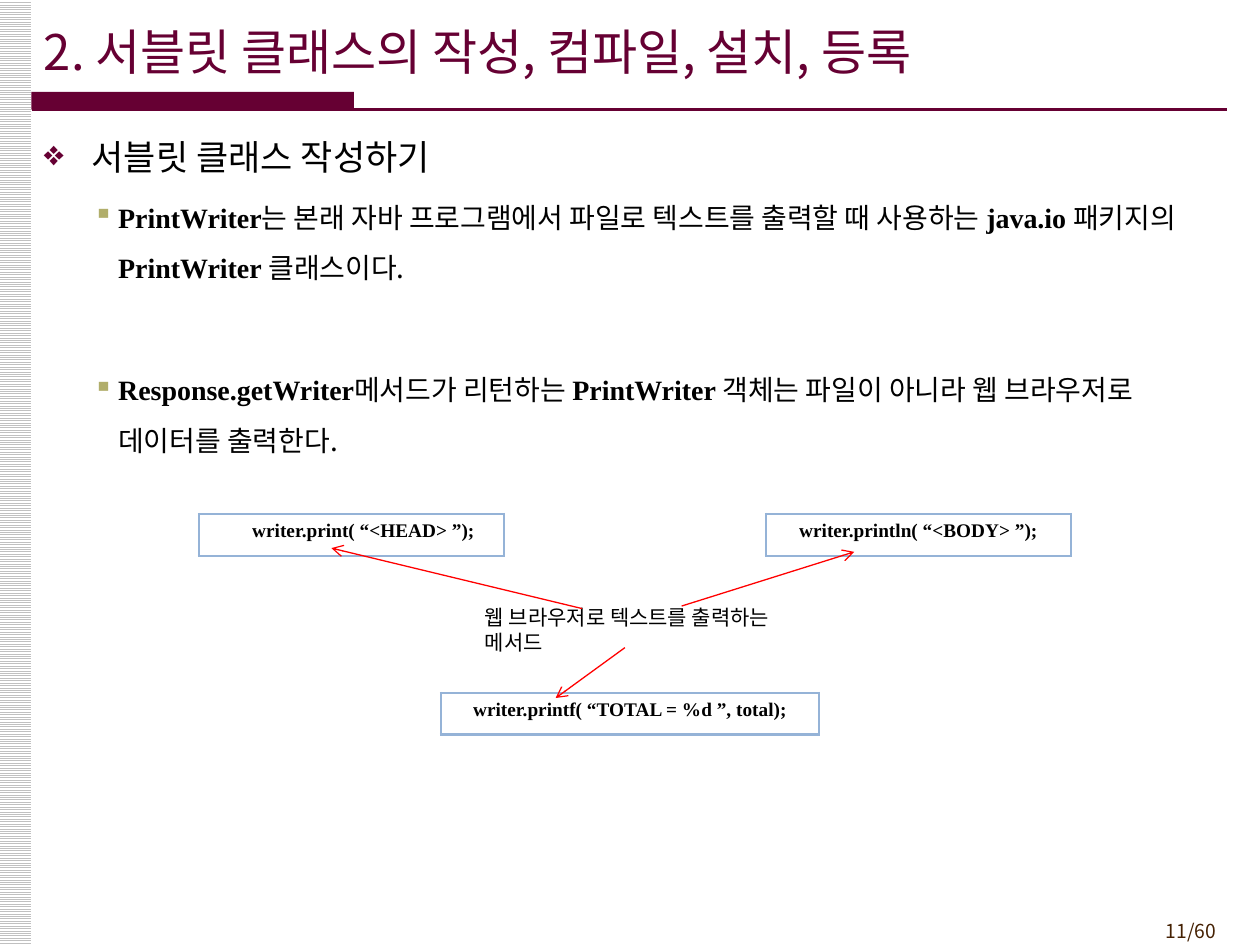
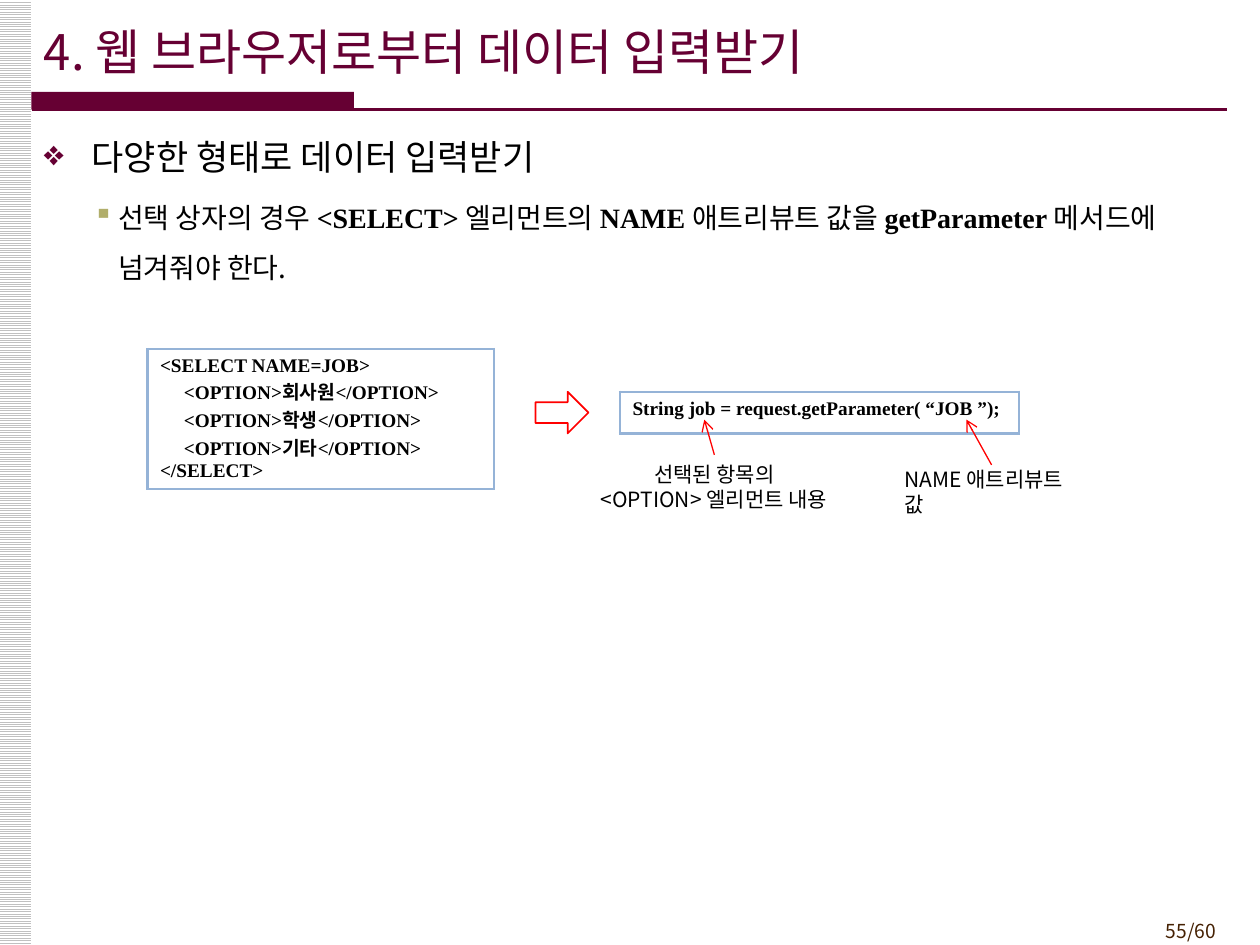
from dataclasses import dataclass
from typing import Any, NamedTuple

import lxml.etree
import pptx
import pptx.dml.color
import pptx.enum.dml
import pptx.enum.shapes
import pptx.enum.text
import pptx.oxml.ns
import pptx.util

RGBColor = pptx.dml.color.RGBColor
Align = pptx.enum.text.PP_ALIGN
Anchor = pptx.enum.text.MSO_ANCHOR
Kind = pptx.enum.shapes.MSO_SHAPE
Pt = pptx.util.Pt
qn = pptx.oxml.ns.qn

# Shared look: 100 px make one inch
SCALE = 9144
SANS = "Noto Sans CJK KR"
SERIF = "Times New Roman"
WINE = RGBColor(0x66, 0x00, 0x33)
OLIVE = RGBColor(0xB1, 0xAE, 0x6B)
BROWN = RGBColor(0x45, 0x21, 0x03)
BLUE = RGBColor(0x95, 0xB3, 0xD7)
RED = RGBColor(0xFF, 0x00, 0x00)
GREY = RGBColor(0xC0, 0xC0, 0xC0)
BLACK = RGBColor(0x00, 0x00, 0x00)
WHITE = RGBColor(0xFF, 0xFF, 0xFF)


class Box(NamedTuple):
    left: int
    top: int
    width: int
    height: int


class Run(NamedTuple):
    text: str
    code: bool = False


@dataclass
class Para:
    runs: list[Run]
    size: int = 12
    color: RGBColor = BLACK
    align: Any = Align.LEFT
    margin: int = 0
    hang: int = 0
    mark: str = ""
    tint: RGBColor = WINE
    before: float = 0
    after: float = 0
    lines: float = 1


@dataclass
class Code:
    box: Box
    paras: list[Para]


@dataclass
class Label:
    box: Box
    paras: list[Para]


class Arrow(NamedTuple):
    x1: int
    y1: int
    x2: int
    y2: int


@dataclass
class Page:
    title: str
    number: str
    body: list[Para]
    codes: list[Code]
    labels: list[Label]
    arrows: list[Arrow]
    block: Box | None = None


def px(value: int) -> pptx.util.Emu:
    return pptx.util.Emu(value * SCALE)


def place(box: Box) -> list[pptx.util.Emu]:
    return [px(side) for side in box]


# Text
def write(frame: Any, paras: list[Para]) -> None:
    for index, item in enumerate(paras):
        para = frame.add_paragraph() if index else frame.paragraphs[0]
        para.alignment = item.align
        para.line_spacing = item.lines
        para.space_before = Pt(item.before)
        para.space_after = Pt(item.after)
        props = para._p.get_or_add_pPr()
        props.set("marL", str(px(item.margin)))
        props.set("indent", str(px(-item.hang)))
        if item.mark:
            tint = lxml.etree.SubElement(props, qn("a:buClr"))
            lxml.etree.SubElement(tint, qn("a:srgbClr")).set("val", str(item.tint))
            lxml.etree.SubElement(props, qn("a:buChar")).set("char", item.mark)
        for part in item.runs:
            run = para.add_run()
            run.text = part.text
            run.font.size = Pt(item.size)
            run.font.bold = part.code
            run.font.color.rgb = item.color
            run.font.name = SERIF if part.code else SANS
            east = lxml.etree.SubElement(run._r.get_or_add_rPr(), qn("a:ea"))
            east.set("typeface", SANS)


def add_text(slide: Any, box: Box, paras: list[Para], anchor: Any = Anchor.TOP) -> None:
    frame = slide.shapes.add_textbox(*place(box)).text_frame
    frame.word_wrap = True
    frame.vertical_anchor = anchor
    write(frame, paras)


# Shapes and lines
def add_block(slide: Any, box: Box, kind: Any = Kind.RECTANGLE,
              fill: RGBColor | None = None, edge: RGBColor | None = None) -> Any:
    shape = slide.shapes.add_shape(kind, *place(box))
    shape.shadow.inherit = False
    if fill is None:
        shape.fill.background()
    else:
        shape.fill.solid()
        shape.fill.fore_color.rgb = fill
    if edge is None:
        shape.line.fill.background()
    else:
        shape.line.color.rgb = edge
        shape.line.width = Pt(1)
    return shape


def add_line(slide: Any, ends: Arrow, color: RGBColor, width: float, head: bool) -> None:
    line = slide.shapes.add_connector(
        pptx.enum.shapes.MSO_CONNECTOR.STRAIGHT, *[px(end) for end in ends])
    line.line.color.rgb = color
    line.line.width = Pt(width)
    if head:
        tail = lxml.etree.SubElement(line.line._get_or_add_ln(), qn("a:tailEnd"))
        tail.set("type", "arrow")
    lxml.etree.SubElement(line._element.spPr, qn("a:effectLst"))


def add_label(slide: Any, label: Label) -> None:
    frame = add_block(slide, label.box, fill=WHITE).text_frame
    frame.word_wrap = True
    frame.vertical_anchor = Anchor.MIDDLE
    write(frame, label.paras)


def add_code(slide: Any, code: Code) -> None:
    table = slide.shapes.add_table(1, 1, *place(code.box)).table
    table.first_row = False
    table.horz_banding = False
    cell = table.cell(0, 0)
    props = cell._tc.get_or_add_tcPr()
    for side in ("L", "R", "T", "B"):
        edge = lxml.etree.SubElement(props, qn(f"a:ln{side}"))
        edge.set("w", str(Pt(1.5)))
        fill = lxml.etree.SubElement(edge, qn("a:solidFill"))
        lxml.etree.SubElement(fill, qn("a:srgbClr")).set("val", str(BLUE))
    cell.fill.background()
    write(cell.text_frame, code.paras)


# Frame shared by all slides
def add_frame(slide: Any, page: Page) -> None:
    strip = add_block(slide, Box(0, 0, 25, 750))
    strip.fill.patterned()
    strip.fill.pattern = pptx.enum.dml.MSO_PATTERN.LIGHT_HORIZONTAL
    strip.fill.fore_color.rgb = GREY
    strip.fill.back_color.rgb = WHITE
    add_text(slide, Box(892, 725, 83, 29),
             [Para([Run(page.number)], 11, BROWN, Align.RIGHT)])
    add_block(slide, Box(25, 73, 256, 14), fill=WINE)
    add_line(slide, Arrow(25, 87, 974, 87), WINE, 1.5, False)
    add_text(slide, Box(25, 9, 827, 63),
             [Para([Run(page.title)], 28, WINE)], Anchor.MIDDLE)


def add_page(deck: Any, page: Page) -> None:
    slide = deck.slides.add_slide(deck.slide_layouts[6])
    add_frame(slide, page)
    add_text(slide, Box(25, 103, 950, 625), page.body)
    for code in page.codes:
        add_code(slide, code)
    if page.block:
        add_block(slide, page.block, Kind.RIGHT_ARROW, edge=RED)
    for label in page.labels:
        add_label(slide, label)
    for arrow in page.arrows:
        add_line(slide, arrow, RED, 0.75, True)


# Paragraph styles
def topic(text: str) -> Para:
    return Para([Run(text)], 20, margin=38, hang=38, mark="❖", before=4)


def point(*runs: Run, before: float = 3.2) -> Para:
    return Para(list(runs), 16, margin=59, hang=20, mark="▪", tint=OLIVE,
                before=before, after=3, lines=1.5)


def script(text: str, align: Any = Align.LEFT, margin: int = 0) -> Para:
    return Para([Run(text, True)], 11, align=align, margin=margin)


def note(text: str, align: Any = Align.LEFT) -> Para:
    return Para([Run(text)], align=align)


STEP = 19  # indent of nested code

PAGES = [
    Page(
        "2. 서블릿 클래스의 작성, 컴파일, 설치, 등록", "11/60",
        body=[
            topic("서블릿 클래스 작성하기"),
            point(Run("PrintWriter", True),
                  Run("는 본래 자바 프로그램에서 파일로 텍스트를 출력할 때 사용하는 "),
                  Run("java.io ", True), Run("패키지의 "),
                  Run("PrintWriter ", True), Run("클래스이다.")),
            point(Run("Response.getWriter", True), Run("메서드가 리턴하는 "),
                  Run("PrintWriter ", True),
                  Run("객체는 파일이 아니라 웹 브라우저로 데이터를 출력한다."),
                  before=38),
        ],
        codes=[
            Code(Box(158, 408, 242, 33),
                 [script("writer.print( “<HEAD> ”);", Align.CENTER, STEP)]),
            Code(Box(608, 408, 242, 33),
                 [script("writer.println( “<BODY> ”);", Align.CENTER)]),
            Code(Box(350, 550, 300, 33),
                 [script("writer.printf( “TOTAL = %d ”, total);", Align.CENTER)]),
        ],
        labels=[Label(Box(375, 483, 267, 33),
                      [note("웹 브라우저로 텍스트를 출력하는 메서드")])],
        arrows=[Arrow(496, 514, 441, 554), Arrow(541, 481, 678, 438),
                Arrow(462, 483, 263, 435)],
    ),
    Page(
        "4. 웹 브라우저로부터 데이터 입력받기", "55/60",
        body=[
            topic("다양한 형태로 데이터 입력받기"),
            point(Run("선택 상자의 경우 "), Run("<SELECT>", True),
                  Run(" 엘리먼트의 "), Run("NAME ", True),
                  Run("애트리뷰트 값을 "), Run("getParameter ", True),
                  Run("메서드에 넘겨줘야 한다.")),
        ],
        codes=[
            Code(Box(117, 277, 275, 111),
                 [script("<SELECT NAME=JOB>"),
                  *[script(f"<OPTION>{job}</OPTION>", margin=STEP)
                    for job in ("회사원", "학생", "기타")],
                  script("</SELECT>")]),
            Code(Box(492, 311, 317, 33),
                 [script("String job = request.getParameter( “JOB ”);")]),
        ],
        labels=[
            Label(Box(467, 361, 200, 50),
                  [note("선택된 항목의", Align.CENTER), note("<OPTION> 엘리먼트 내용")]),
            Label(Box(708, 369, 158, 42), [note("NAME 애트리뷰트 값")]),
        ],
        arrows=[Arrow(567, 361, 559, 333), Arrow(787, 369, 767, 333)],
        block=Box(425, 311, 42, 33),
    ),
]


def main() -> None:
    deck = pptx.Presentation()
    deck.slide_width = px(1000)
    deck.slide_height = px(750)
    for page in PAGES:
        add_page(deck, page)
    deck.save("out.pptx")


if __name__ == "__main__":
    main()
